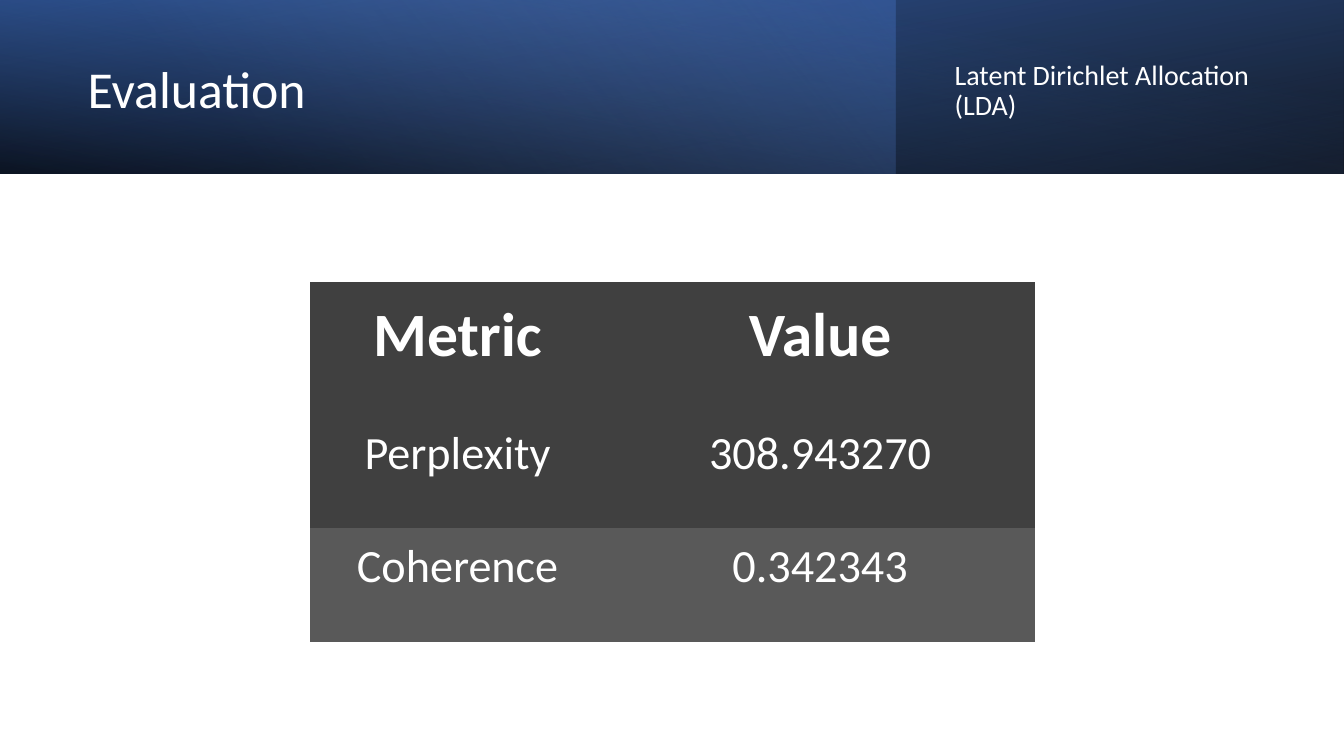
from lxml import etree
from pptx import Presentation
from pptx.dml.color import RGBColor
from pptx.enum.shapes import MSO_SHAPE
from pptx.enum.text import MSO_ANCHOR, PP_ALIGN
from pptx.oxml import parse_xml
from pptx.util import Pt

RECTANGLE = MSO_SHAPE.RECTANGLE
MIDDLE, BOTTOM = MSO_ANCHOR.MIDDLE, MSO_ANCHOR.BOTTOM
CENTER = PP_ALIGN.CENTER
DRAWING = "http://schemas.openxmlformats.org/drawingml/2006/main"
NO_TABLE_STYLE = "{2D5ABB26-0587-4C30-8999-92F81FD0307C}"


def color(value):
    return RGBColor.from_string(value)


def format_text(paragraph, size, bold=False):
    for run in paragraph.runs:
        run.font.name = "Calibri"
        run.font.size = Pt(size)
        run.font.bold = bold
        run.font.color.rgb = color("FFFFFF")


presentation = Presentation()
presentation.slide_width = Pt(960)
presentation.slide_height = Pt(540)
slide = presentation.slides.add_slide(presentation.slide_layouts[6])

# Header band: three stacked gradients, stops as (position, colour, opacity)
header_layers = [
    (960, 180, True, 100, [(0, "000000", 96), (100, "2F5597", 100)]),
    (640, 0, False, 140, [(0, "4472C4", 41), (74, "8FAADC", 0)]),
    (960, 0, True, 260, [(0, "000000", 63), (78, "4472C4", 15)]),
]
for width, rotation, flipped, angle, stops in header_layers:
    band = slide.shapes.add_shape(RECTANGLE, Pt(0), Pt(0), Pt(width), Pt(124))
    band.shadow.inherit = False
    band.line.fill.background()
    band.rotation = rotation
    properties = band.element.spPr
    if flipped:
        properties.xfrm.set("flipH", "1")
    stop_xml = "".join(
        f'<a:gs pos="{position * 1000}"><a:srgbClr val="{value}">'
        f'<a:alpha val="{opacity * 1000}"/></a:srgbClr></a:gs>'
        for position, value, opacity in stops
    )
    gradient = parse_xml(
        f'<a:gradFill xmlns:a="{DRAWING}" rotWithShape="1"><a:gsLst>{stop_xml}</a:gsLst>'
        f'<a:lin ang="{angle * 60000}" scaled="0"/></a:gradFill>'
    )
    properties.find(f"{{{DRAWING}}}prstGeom").addnext(gradient)

# Title and subtitle
headings = [
    ("Evaluation", 55.5, 19.5, 556, 91.5, 37),
    ("Latent Dirichlet Allocation (LDA)", 674.75, 31, 255, 69, 20),
]
for text, left, top, width, height, size in headings:
    text_box = slide.shapes.add_textbox(Pt(left), Pt(top), Pt(width), Pt(height))
    text_frame = text_box.text_frame
    text_frame.word_wrap = True
    text_frame.vertical_anchor = MIDDLE
    text_frame.text = text
    paragraph = text_frame.paragraphs[0]
    paragraph.line_spacing = 0.9
    format_text(paragraph, size)

# Table of metrics
metrics = [("Metric", "Value"), ("Perplexity", "308.943270"), ("Coherence", "0.342343")]
row_heights = [94.5, 81.25, 81.25]
row_fills = ["404040", "404040", "595959"]
column_widths = [252.5, 265.5]
table_frame = slide.shapes.add_table(
    len(metrics), len(column_widths), Pt(221.25), Pt(201.5),
    Pt(sum(column_widths)), Pt(sum(row_heights)),
)
table = table_frame.table
table_frame.element.find(f".//{{{DRAWING}}}tableStyleId").text = NO_TABLE_STYLE
for column, width in zip(table.columns, column_widths):
    column.width = Pt(width)
for row_index, values in enumerate(metrics):
    header = row_index == 0
    table.rows[row_index].height = Pt(row_heights[row_index])
    for column_index, value in enumerate(values):
        cell = table.cell(row_index, column_index)
        cell.text_frame.text = value
        cell.vertical_anchor = BOTTOM if header else MIDDLE
        cell.margin_left, cell.margin_top = Pt(13.75), Pt(4)
        cell.margin_right, cell.margin_bottom = Pt(55), Pt(29.5)
        cell.fill.solid()
        cell.fill.fore_color.rgb = color(row_fills[row_index])
        paragraph = cell.text_frame.paragraphs[0]
        paragraph.alignment = CENTER
        format_text(paragraph, 44 if header else 33, header)

# White left edge of the table's header cell
edge = etree.fromstring(
    f'<a:lnL xmlns:a="{DRAWING}" w="12700"><a:solidFill>'
    '<a:srgbClr val="FFFFFF"/></a:solidFill></a:lnL>'
)
table.cell(0, 0)._tc.tcPr.insert(0, edge)

presentation.save("out.pptx")
